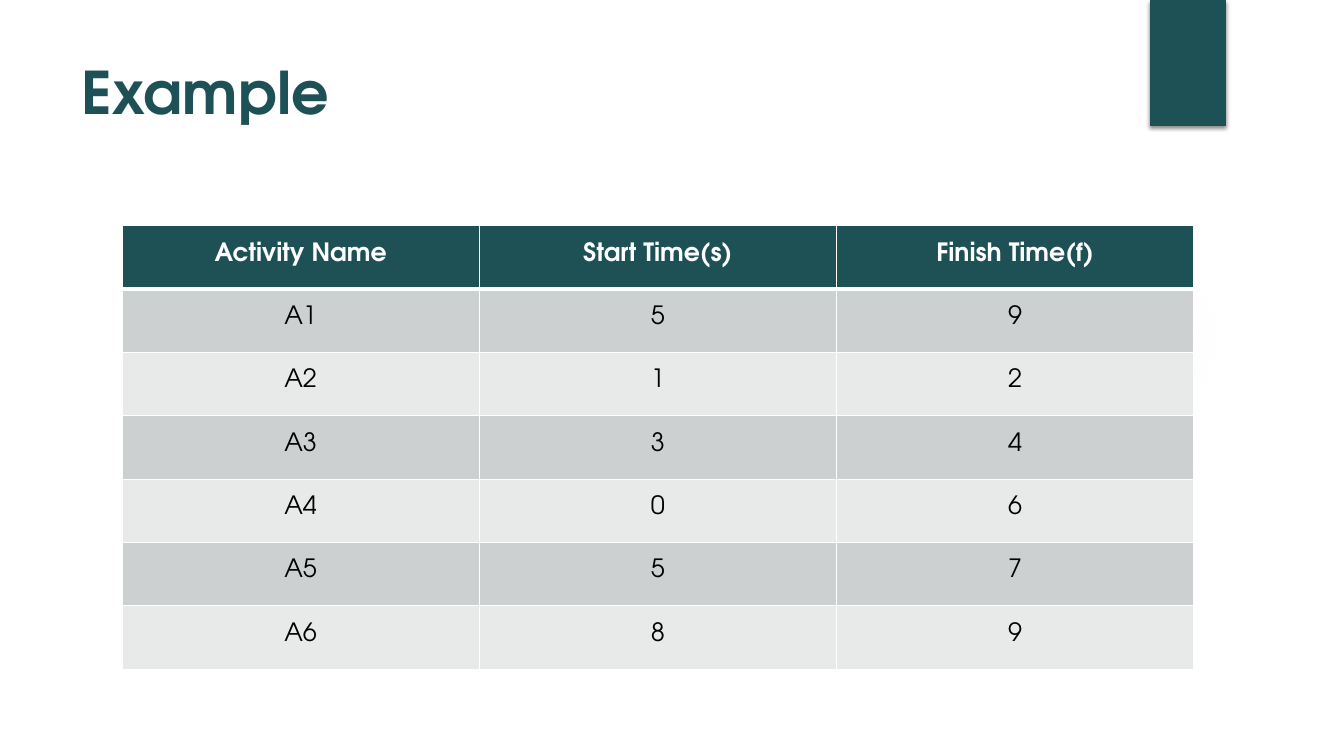
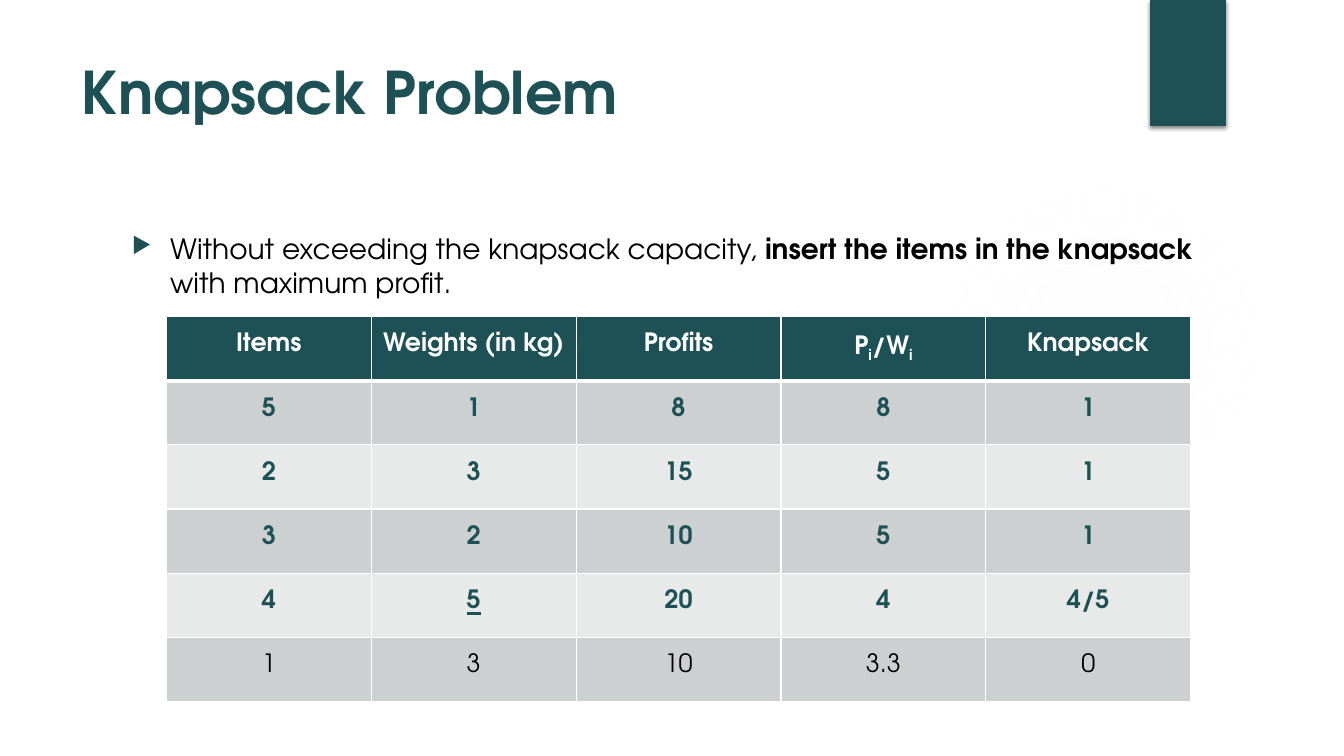
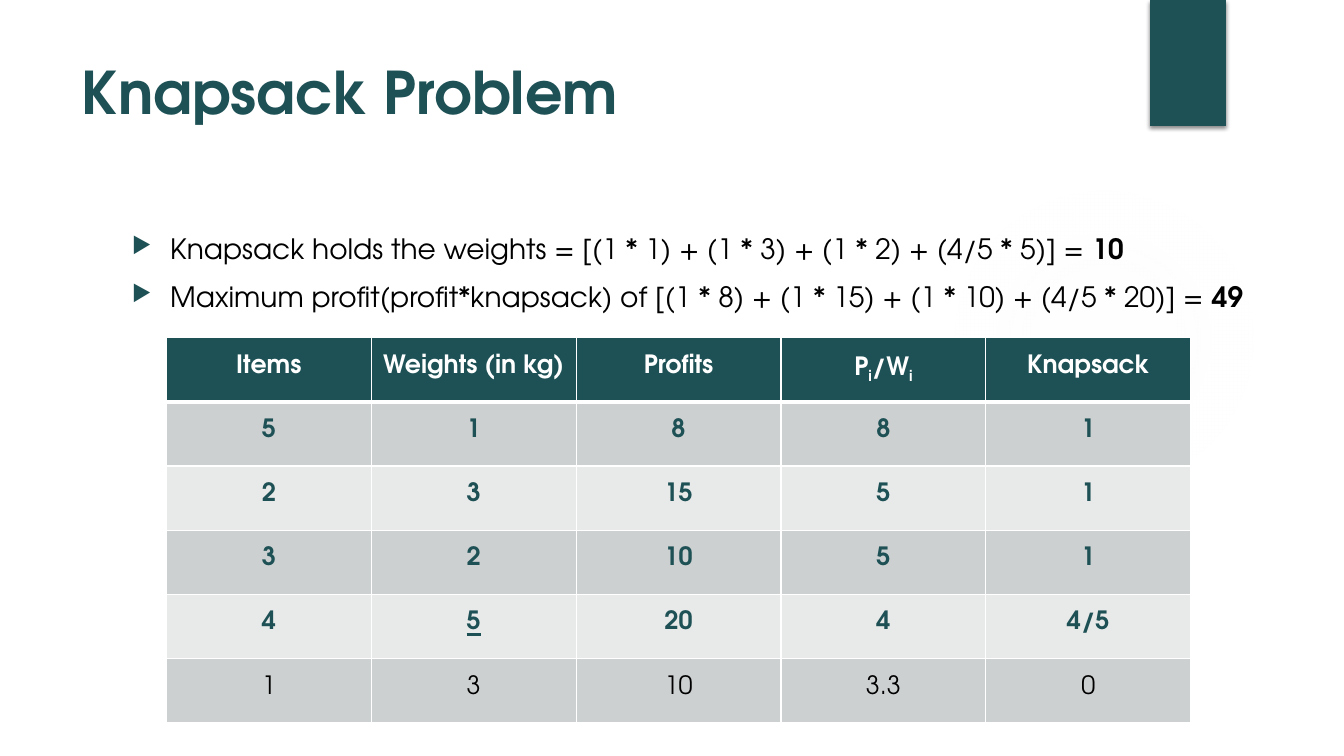
import dataclasses
import typing

import pptx
import pptx.dml.color
import pptx.enum.shapes
import pptx.enum.text
import pptx.oxml
import pptx.oxml.ns
import pptx.util

COLORS = {
    "teal": "1E5155",
    "white": "FFFFFF",
    "black": "000000",
    "dark": "CDD0D1",
    "light": "E8E9E9",
    "glow": "F3F3F3",
}
FONT = "TeX Gyre Adventor"
WIDE, HIGH = pptx.util.Inches(13.333), pptx.util.Inches(7.5)


class Box(typing.NamedTuple):
    """A frame in percent of the slide's width and height."""
    left: float
    top: float
    width: float
    height: float

    def frame(self) -> tuple[int, int, int, int]:
        """Turn the shares into slide units."""
        return (round(self.left * WIDE / 100), round(self.top * HIGH / 100),
                round(self.width * WIDE / 100), round(self.height * HIGH / 100))


@dataclasses.dataclass(frozen=True)
class Run:
    """Text with its own format."""
    text: str
    style: dict[str, typing.Any] = dataclasses.field(default_factory=dict)


Line = str | list[Run]


@dataclasses.dataclass(frozen=True)
class Grid:
    """A table: its frame, its rows and the number of strong body rows."""
    box: Box
    rows: list[list[Line]]
    strong: int = 0


@dataclasses.dataclass(frozen=True)
class Page:
    """The content of one slide."""
    title: str
    grid: Grid
    points: list[Line] = dataclasses.field(default_factory=list)
    body: Box | None = None


TITLE = Box(5.33, 6.67, 77.19, 20.4)
FLAG = Box(85.58, 0, 5.63, 16.67)
GLOW = Box(70.58, 24.4, 23.1, 41.07)


def tint(name: str) -> pptx.dml.color.RGBColor:
    """Look up a colour."""
    return pptx.dml.color.RGBColor.from_string(COLORS[name])


def node(xml: str) -> typing.Any:
    """Make a drawing element from XML."""
    head, mark, tail = xml.partition(">")
    space = " " + pptx.oxml.ns.nsdecls("a")
    if head.endswith("/"):
        return pptx.oxml.parse_xml(head[:-1] + space + "/" + mark + tail)
    return pptx.oxml.parse_xml(head + space + mark + tail)


def write(para: typing.Any, text: str, *, size: float, color: str = "black",
          bold: bool = False, under: bool = False, base: int = 0) -> None:
    """Add one run of text in the given format."""
    run = para.add_run()
    run.text = text
    font = run.font
    font.name, font.size, font.bold = FONT, pptx.util.Pt(size), bold
    font.color.rgb = tint(color)
    if under:
        font.underline = True
    if base:
        run._r.get_or_add_rPr().set("baseline", str(base * 1000))


def fill_line(para: typing.Any, line: Line, **style: typing.Any) -> None:
    """Write a plain or mixed line into a paragraph."""
    for run in [Run(line)] if isinstance(line, str) else line:
        write(para, run.text, **{**style, **run.style})


def add_box(slide: typing.Any, box: Box) -> typing.Any:
    """Add a wrapping text box and return its text frame."""
    frame = slide.shapes.add_textbox(*box.frame()).text_frame
    frame.word_wrap = True
    return frame


def add_plain(slide: typing.Any, kind: typing.Any, box: Box) -> typing.Any:
    """Add a shape with no line or shadow."""
    shape = slide.shapes.add_shape(kind, *box.frame())
    shape.shadow.inherit = False
    shape.line.fill.background()
    return shape


def add_decor(slide: typing.Any) -> None:
    """Draw the soft glow and the corner flag."""
    kinds = pptx.enum.shapes.MSO_SHAPE
    glow = add_plain(slide, kinds.OVAL, GLOW)
    glow.fill.background()
    stops = "".join(
        f'<a:gs pos="{at * 1000}"><a:srgbClr val="{COLORS["glow"]}">'
        f'<a:alpha val="{alpha * 1000}"/></a:srgbClr></a:gs>'
        for at, alpha in ((0, 7), (36, 6), (69, 0)))
    props = glow._element.spPr
    props.replace(props.find(pptx.oxml.ns.qn("a:noFill")), node(
        f'<a:gradFill><a:gsLst>{stops}</a:gsLst><a:path path="circle">'
        '<a:fillToRect l="50000" t="50000" r="50000" b="50000"/>'
        '</a:path></a:gradFill>'))

    flag = add_plain(slide, kinds.RECTANGLE, FLAG)
    flag.fill.solid()
    flag.fill.fore_color.rgb = tint("teal")
    blur, shift = pptx.util.Pt(3), pptx.util.Pt(2)
    flag._element.spPr.find(pptx.oxml.ns.qn("a:effectLst")).append(node(
        f'<a:outerShdw blurRad="{blur}" dist="{shift}" dir="5400000" '
        f'rotWithShape="0"><a:srgbClr val="{COLORS["black"]}">'
        '<a:alpha val="45000"/></a:srgbClr></a:outerShdw>'))


def add_points(slide: typing.Any, box: Box, points: list[Line]) -> None:
    """Write a list with triangle bullets."""
    frame = add_box(slide, box)
    dent = pptx.util.Inches(0.38)
    for i, line in enumerate(points):
        para = frame.add_paragraph() if i else frame.paragraphs[0]
        para.space_before = pptx.util.Pt(10)
        props = para._p.get_or_add_pPr()
        props.set("marL", str(dent))
        props.set("indent", str(-dent))
        for xml in (
                f'<a:buClr><a:srgbClr val="{COLORS["teal"]}"/></a:buClr>',
                '<a:buSzPct val="80000"/>', '<a:buChar char="▶"/>'):
            props.append(node(xml))
        fill_line(para, line, size=20)


def edge_cell(cell: typing.Any, top: float, base: float) -> None:
    """Give a cell white borders."""
    props = cell._tc.get_or_add_tcPr()
    sides = {"L": 1, "R": 1, "T": top, "B": base}
    for i, (side, width) in enumerate(sides.items()):
        props.insert(i, node(
            f'<a:ln{side} w="{pptx.util.Pt(width)}"><a:solidFill>'
            f'<a:srgbClr val="{COLORS["white"]}"/></a:solidFill></a:ln{side}>'))


def add_grid(slide: typing.Any, grid: Grid) -> None:
    """Draw a table with a teal header and banded rows."""
    rows, cols = len(grid.rows), len(grid.rows[0])
    left, top, width, height = grid.box.frame()
    table = slide.shapes.add_table(
        rows, cols, left, top, width, height).table
    table.first_row = table.horz_banding = False
    for col in table.columns:
        col.width = width // cols
    for r, row in enumerate(grid.rows):
        table.rows[r].height = height // rows
        strong = r <= grid.strong
        color = "white" if r == 0 else "teal" if strong else "black"
        back = "teal" if r == 0 else "dark" if r % 2 else "light"
        for c, line in enumerate(row):
            cell = table.cell(r, c)
            cell.fill.solid()
            cell.fill.fore_color.rgb = tint(back)
            edge_cell(cell, 3 if r == 1 else 1, 3 if r == 0 else 1)
            para = cell.text_frame.paragraphs[0]
            para.alignment = pptx.enum.text.PP_ALIGN.CENTER
            para.line_spacing = 1.5
            fill_line(para, line, size=18, color=color, bold=strong)


def add_page(deck: typing.Any, page: Page) -> None:
    """Build one slide."""
    slide = deck.slides.add_slide(deck.slide_layouts[6])
    add_decor(slide)
    title = add_box(slide, TITLE).paragraphs[0]
    write(title, page.title, size=42, color="teal", bold=True)
    if page.body:
        add_points(slide, page.body, page.points)
    add_grid(slide, page.grid)


BOLD = {"bold": True}
SUB = {"base": -25}
TIMES: list[list[Line]] = [
    ["Activity Name", "Start Time(s)", "Finish Time(f)"],
    ["A1", "5", "9"],
    ["A2", "1", "2"],
    ["A3", "3", "4"],
    ["A4", "0", "6"],
    ["A5", "5", "7"],
    ["A6", "8", "9"],
]
ITEMS: list[list[Line]] = [
    ["Items", "Weights (in kg)", "Profits",
     [Run("P"), Run("i", SUB), Run("/W"), Run("i", SUB)], "Knapsack"],
    ["5", "1", "8", "8", "1"],
    ["2", "3", "15", "5", "1"],
    ["3", "2", "10", "5", "1"],
    ["4", [Run("5", {"under": True})], "20", "4", "4/5"],
    ["1", "3", "10", "3.3", "0"],
]
PAGES = [
    Page("Example", Grid(Box(9.08, 29.87, 79.74, 58.67), TIMES)),
    Page("Knapsack Problem",
         Grid(Box(12.38, 41.87, 76.22, 50.93), ITEMS, strong=4),
         [[Run("Without exceeding the knapsack capacity, "),
           Run("insert the items in the knapsack ", BOLD),
           Run("with maximum profit.")]],
         Box(9.08, 30, 82.82, 61.2)),
    Page("Knapsack Problem",
         Grid(Box(12.38, 44.67, 76.22, 50.93), ITEMS, strong=4),
         [[Run("Knapsack holds the weights = "
               "[(1 * 1) + (1 * 3) + (1 * 2) + (4/5 * 5)] = "),
           Run("10 ", BOLD)],
          [Run("Maximum profit(profit*knapsack) of "
               "[(1 * 8) + (1 * 15) + (1 * 10) + (4/5 * 20)] = "),
           Run("49 ", BOLD)]],
         Box(9.08, 30, 88.3, 61.2)),
]


def main() -> None:
    """Build and save the deck."""
    deck = pptx.Presentation()
    deck.slide_width, deck.slide_height = WIDE, HIGH
    for page in PAGES:
        add_page(deck, page)
    deck.save("out.pptx")


main()
